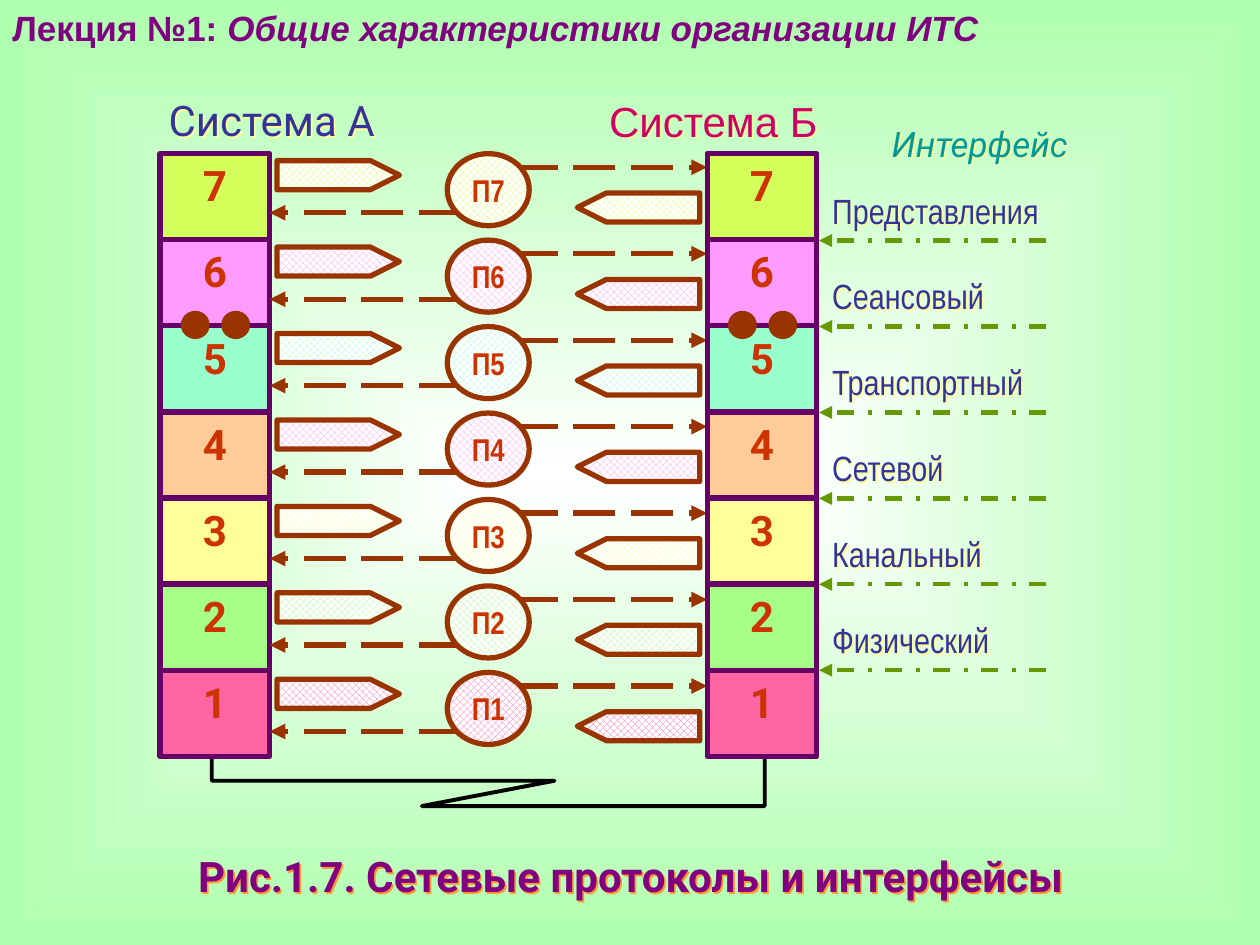
from lxml.etree import SubElement
from pptx import Presentation
from pptx.dml.color import RGBColor
from pptx.enum.dml import MSO_LINE, MSO_PATTERN
from pptx.enum.shapes import MSO_CONNECTOR, MSO_SHAPE
from pptx.enum.text import MSO_ANCHOR, PP_ALIGN
from pptx.oxml.ns import qn
from pptx.util import Pt

PURPLE, PLUM, BLUE, BROWN, RUST = "800080", "660066", "333399", "993300", "CC3300"
LAYERS = [(7, "D4FF5B", "D4FF5B"), (6, "FF9BFF", "FF9BFF"), (5, "99FFCC", "99FFCC"),
          (4, "FFCC99", "FF9BFF"), (3, "FFFF99", "FFFF99"), (2, "A5FF89", "A5FF89"),
          (1, "FF65A3", "FF65A3")]
INTERFACES = ["Представления", "Сеансовый", "Транспортный", "Сетевой", "Канальный", "Физический"]


def rgb(color):
    """Turn a hex string into a colour."""
    return RGBColor.from_string(color)


def write(sp, text, size, font, color, bold=False, italic=False, align=PP_ALIGN.CENTER,
          anchor=MSO_ANCHOR.TOP, inset=True):
    """Put one formatted paragraph into a shape."""
    tf = sp.text_frame
    tf.word_wrap = True
    tf.vertical_anchor = anchor
    if not inset:
        tf.margin_left = tf.margin_top = tf.margin_right = tf.margin_bottom = 0
    p = tf.paragraphs[0]
    p.text = text
    p.alignment = align
    p.font.size, p.font.name = Pt(size), font
    p.font.bold, p.font.italic = bold, italic
    p.font.color.rgb = rgb(color)


def text_shadow(sp, color):
    """Give the text of an unfilled box a coloured shadow."""
    effects = SubElement(sp._element.spPr, qn("a:effectLst"))
    shadow = SubElement(effects, qn("a:outerShdw"), dist=str(Pt(1.4)), dir="2700000", algn="ctr")
    SubElement(shadow, qn("a:srgbClr"), val=color)


def label(s, x, y, w, h, text, size, font, color, shadow="FFFF99", **style):
    """Add a text box with shadowed text."""
    sp = s.shapes.add_textbox(Pt(x), Pt(y), Pt(w), Pt(h))
    write(sp, text, size, font, color, **style)
    text_shadow(sp, shadow)


def block(s, kind, x, y, w, h, fill, line, width=3, pattern=False):
    """Add a preset shape with a plain or checked fill."""
    sp = s.shapes.add_shape(kind, Pt(x), Pt(y), Pt(w), Pt(h))
    sp.shadow.inherit = False
    if pattern:
        sp.fill.patterned()
        sp.fill.pattern = MSO_PATTERN.LARGE_CHECKER_BOARD
        sp.fill.fore_color.rgb, sp.fill.back_color.rgb = rgb(fill), rgb("FFFFFF")
    else:
        sp.fill.solid()
        sp.fill.fore_color.rgb = rgb(fill)
    sp.line.color.rgb, sp.line.width = rgb(line), Pt(width)
    return sp


def arrow(s, x1, x2, y, color, width, dash):
    """Add a horizontal dashed arrow from x1 to x2."""
    c = s.shapes.add_connector(MSO_CONNECTOR.STRAIGHT, Pt(x1), Pt(y), Pt(x2), Pt(y))
    c.line.color.rgb, c.line.width, c.line.dash_style = rgb(color), Pt(width), dash
    SubElement(c.line._get_or_add_ln(), qn("a:tailEnd"), type="triangle")
    SubElement(c._element.spPr, qn("a:effectLst"))


def background(s):
    """Fill the slide with a gradient from a white centre to green edges."""
    fill = s.background.fill
    fill.gradient()
    for stop, position, color in zip(fill.gradient_stops, (0, 1), ("FFFFFF", "AFFFAF")):
        stop.position, stop.color.rgb = position, rgb(color)
    grad = s._element.find(".//" + qn("a:gradFill"))
    grad.remove(grad.find(qn("a:lin")))
    route = SubElement(grad, qn("a:path"), path="shape")
    SubElement(route, qn("a:fillToRect"), l="50000", t="50000", r="50000", b="50000")


def lecture_title(s, x, y, w, h):
    """Add the lecture heading with its italic topic."""
    sp = s.shapes.add_textbox(Pt(x), Pt(y), Pt(w), Pt(h))
    write(sp, "Лекция №1: ", 20, "Arial", PURPLE, bold=True, align=PP_ALIGN.LEFT)
    r = sp.text_frame.paragraphs[0].add_run()
    r.text = "Общие характеристики организации ИТС"
    r.font.italic = True


def channel(s, x, y, w, h):
    """Draw the broken line that links the two systems."""
    points = [(0, 0), (0, 0.57), (0.62, 0.57), (0.38, 1), (1, 1), (1, 0)]
    spots = [(Pt(x + w * u), Pt(y + h * v)) for u, v in points]
    builder = s.shapes.build_freeform(*spots[0])
    builder.add_line_segments(spots[1:], close=False)
    sp = builder.convert_to_shape()
    sp.shadow.inherit = False
    sp.fill.background()
    sp.line.color.rgb, sp.line.width = rgb("000000"), Pt(2.25)


def interfaces(s, x, y, w, pitch):
    """List the interface names, each above its arrow."""
    for i, name in enumerate(INTERFACES):
        top = y + i * pitch
        arrow(s, x + w, x, top + 29.5, "669900", 2.5, MSO_LINE.DASH_DOT)
        label(s, x + 7.5, top, w + 30, 29.5, name, 20, "Arial Narrow", BLUE,
              align=PP_ALIGN.LEFT, inset=False)


def stack(s, x, y, w, pitch):
    """Build the seven layers of one system."""
    for i, (number, color, _) in enumerate(LAYERS):
        sp = block(s, MSO_SHAPE.RECTANGLE, x, y + i * pitch, w, pitch, color, PLUM)
        write(sp, str(number), 24, "Roboto", RUST, bold=True)
    for dx in (12.2, 35.3):
        block(s, MSO_SHAPE.OVAL, x + dx, y + 2 * pitch - 8.2, 15.8, 15.4, BROWN, BROWN, 0.75)


def protocols(s, x, y, w, pitch):
    """Draw the protocol exchange of each layer between the systems."""
    for i, (number, _, color) in enumerate(LAYERS):
        top = y + i * pitch
        for dx, dy, flip in ((4.2, 4, False), (w - 74.2, 22.5, True)):
            sp = block(s, MSO_SHAPE.PENTAGON, x + dx, top + dy, 70, 16.6, color, BROWN, pattern=True)
            sp.adjustments[0] = 1
            if flip:
                sp._element.spPr.find(qn("a:xfrm")).set("flipH", "1")
        arrow(s, x + 140.5, x + w, top + 7.8, BROWN, 3, MSO_LINE.LONG_DASH)
        arrow(s, x + 109.5, x, top + 33.8, BROWN, 3, MSO_LINE.LONG_DASH)
        sp = block(s, MSO_SHAPE.OVAL, x + 101.5, top, 46.8, 41.2, color, BROWN, pattern=True)
        write(sp, f"П{number}", 18, "Arial Narrow", RUST, bold=True,
              anchor=MSO_ANCHOR.MIDDLE, inset=False)


def headings(s, x, y, h):
    """Name the two systems and the interface column."""
    label(s, x, y, 150.5, h, "Система А", 24, "Roboto", BLUE)
    label(s, x + 248.4, y + 0.5, 158.4, h, "Система Б", 24, "Arial", "CC0066")
    label(s, x + 401.8, y + 15.8, 156.2, h, "Интерфейс", 20, "Roboto", "009999", italic=True)


def main():
    """Build and save the slide."""
    prs = Presentation()
    prs.slide_width, prs.slide_height = Pt(720), Pt(540)
    s = prs.slides.add_slide(prs.slide_layouts[6])
    background(s)
    lecture_title(s, 0, 0, 584, 31)
    channel(s, 121, 427, 316, 33.6)
    headings(s, 80, 50.4, 34)
    interfaces(s, 468, 108, 130, 49.1)
    stack(s, 91.5, 87.8, 62.6, 49.2)
    protocols(s, 154.1, 87.8, 250, 49.4)
    stack(s, 404.1, 87.8, 62.6, 49.2)
    label(s, 49, 482.4, 622.8, 36, "Рис.1.7. Сетевые протоколы и интерфейсы", 24, "Roboto",
          PURPLE, shadow="FF9933", bold=True)
    prs.save("out.pptx")


if __name__ == "__main__":
    main()
